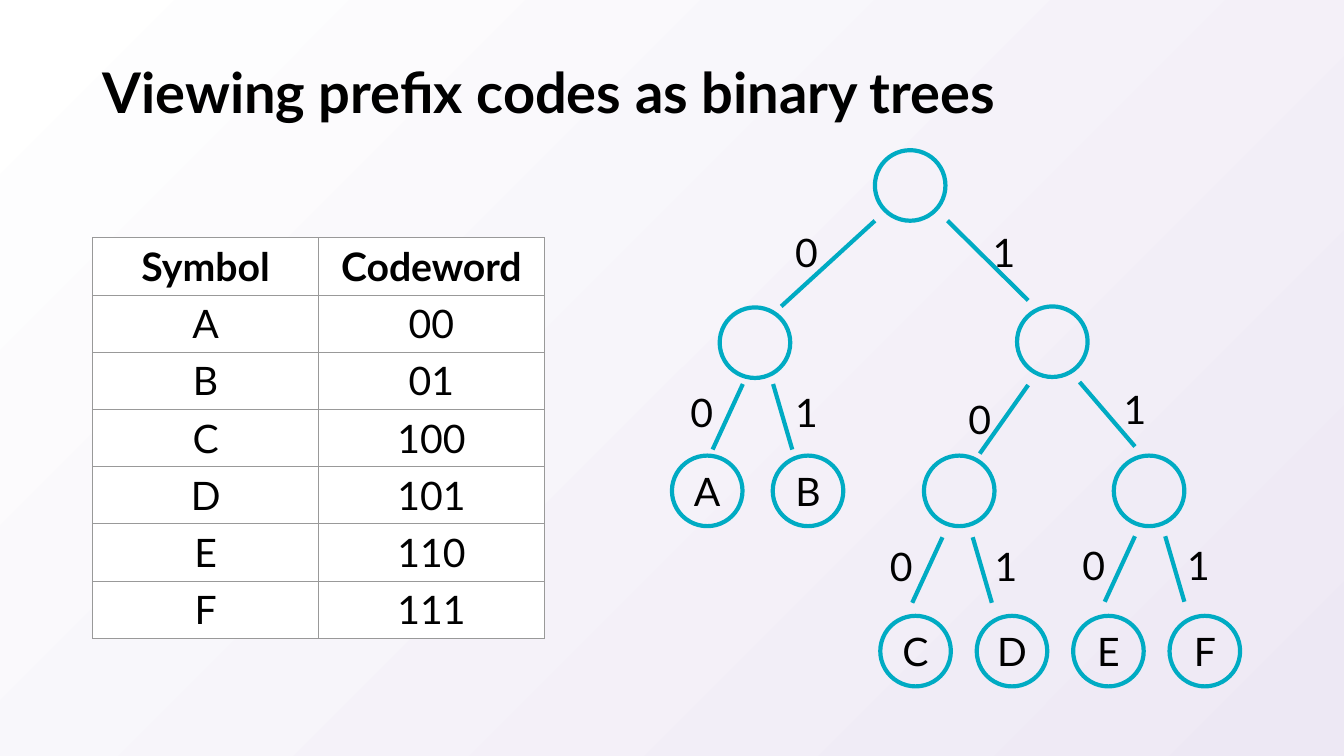
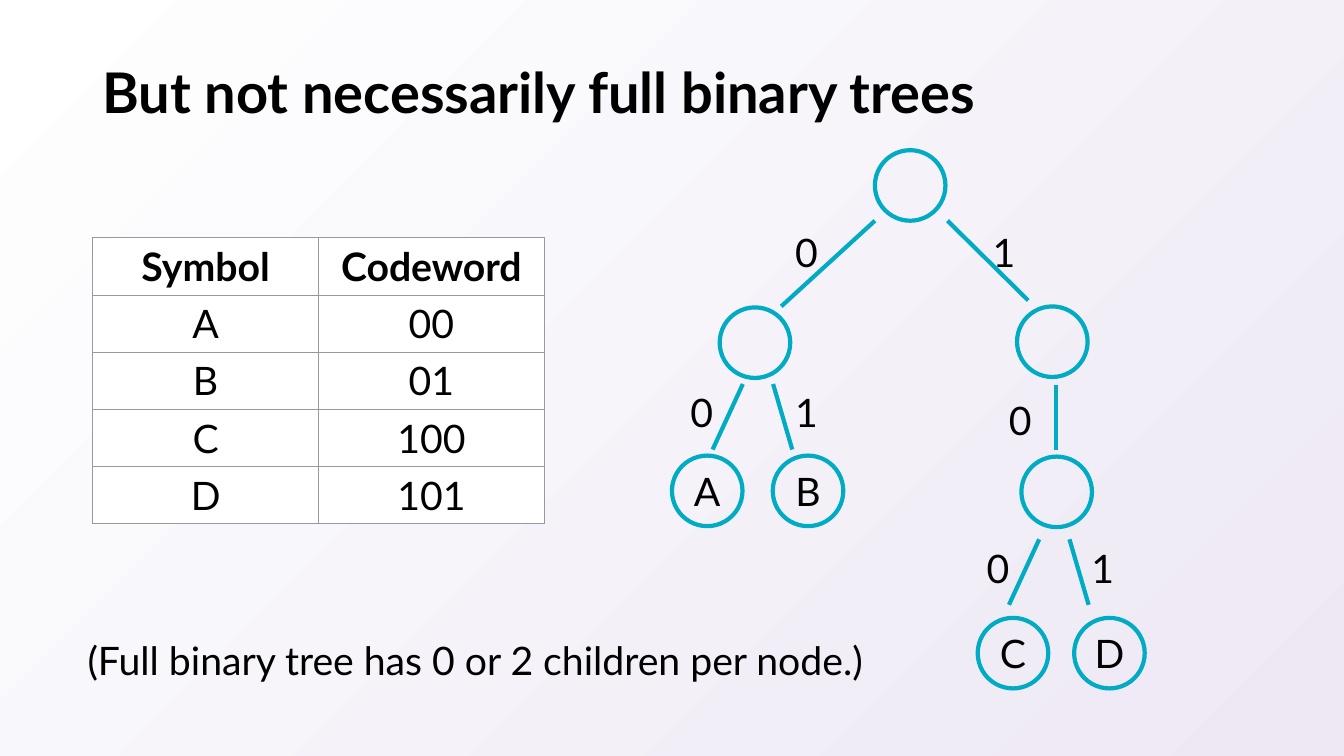
"""Build two slides that show prefix codes as binary trees."""
from pptx import Presentation, util as u
from pptx.dml.color import RGBColor
from pptx.enum import shapes, text
from pptx.oxml import parse_xml
from pptx.oxml.ns import nsdecls

HUES = {"ink": "000000", "paper": "FFFFFF", "tint": "EDE8F4", "line": "00ABC3", "rule": "999999"}
COLS, ROWS = 40, 22.5
FONT = "Lato"
SIZE = 2.1
STEP = 2.87

deck = Presentation()
deck.slide_width = u.Inches(40 / 3)
deck.slide_height = u.Inches(7.5)


def grid(*cells):
    """Turn columns and rows, in turn, into lengths."""
    units = (deck.slide_width / COLS, deck.slide_height / ROWS)
    return [u.Emu(round(n * units[i % 2])) for i, n in enumerate(cells)]


def write(frame, words, size=28, bold=False, align=None, space=None):
    """Put one styled paragraph in a text frame."""
    para = frame.paragraphs[0]
    para.text = words
    para.alignment = align
    para.line_spacing = space
    font = para.font
    font.name, font.size, font.bold = FONT, u.Pt(size), bold
    font.color.rgb = RGBColor.from_string(HUES["ink"])


fill = deck.slide_master.background.fill
fill.gradient()
fill.gradient_angle = 315
for stop, hue in zip(fill.gradient_stops, ("paper", "tint")):
    stop.color.rgb = RGBColor.from_string(HUES[hue])

codes = {"A": "00", "B": "01", "C": "100", "D": "101", "E": "110", "F": "111"}
nodes = {"": (26.04, 4.47), "0": (21.42, 9.15), "1": (30.27, 9.12),
         "00": (20, 13.56), "01": (23, 13.56)}
edges = {"0": (23.25, 9.12, 26.04, 6.57), "1": (30.6, 8.94, 28.2, 6.57)}
tags = {"0": (23.37, 6.3), "1": (29.25, 6.3)}
forks = [(22.11, 11.43)]

pages = [
    {
        "title": "Viewing prefix codes as binary trees",
        "leaves": "ABCDEF",
        "nodes": {"10": (27.5, 13.56), "11": (33.15, 13.56)},
        "start": (26.2, 18.33),
        "edges": {"10": (29.16, 13.5, 30.6, 11.46), "11": (33.78, 13.29, 32.13, 11.37)},
        "tags": {"10": (28.53, 11.28), "11": (33.15, 10.98)},
        "forks": [(28.05, 15.99), (33.78, 15.96)],
        "note": "",
    },
    {
        "title": "But not necessarily full binary trees",
        "leaves": "ABCD",
        "nodes": {"10": (30.4, 13.59)},
        "start": (29.1, 18.39),
        "edges": {"10": (31.44, 13.38, 31.44, 11.46)},
        "tags": {"10": (29.73, 11.31)},
        "forks": [(30.93, 16.05)],
        "note": "(Full binary tree has 0 or 2 children per node.)",
    },
]

for page in pages:
    slide = deck.slides.add_slide(deck.slide_layouts[6])
    items = slide.shapes

    frame = items.add_textbox(*grid(2.76, 1.2, 34.5, 3.27)).text_frame
    frame.word_wrap = True
    frame.vertical_anchor = text.MSO_ANCHOR.MIDDLE
    write(frame, page["title"], 40, True, space=0.9)

    pairs = [("Symbol", "Codeword")] + [(leaf, codes[leaf]) for leaf in page["leaves"]]
    table = items.add_table(len(pairs), 2, *grid(2.76, 7.08, 13.44, 1.68 * len(pairs))).table
    table.first_row = table.horz_banding = False
    for r, pair in enumerate(pairs):
        for c, words in enumerate(pair):
            cell = table.cell(r, c)
            cell.vertical_anchor = text.MSO_ANCHOR.MIDDLE
            write(cell.text_frame, words, bold=r == 0, align=text.PP_ALIGN.CENTER)
            props = cell._tc.get_or_add_tcPr()
            for side in "LRTB":
                props.append(parse_xml(
                    f'<a:ln{side} {nsdecls("a")} w="{u.Pt(0.75)}"><a:solidFill>'
                    f'<a:srgbClr val="{HUES["rule"]}"/></a:solidFill></a:ln{side}>'))
            cell.fill.solid()
            cell.fill.fore_color.rgb = RGBColor.from_string(HUES["paper"])

    names = {codes[leaf]: leaf for leaf in page["leaves"]}
    spots = nodes | page["nodes"]
    left, top = page["start"]
    for i, leaf in enumerate(page["leaves"][2:]):
        spots[codes[leaf]] = (left + i * STEP, top)
    for code, spot in spots.items():
        node = items.add_shape(shapes.MSO_SHAPE.OVAL, *grid(*spot, SIZE, SIZE))
        node.shadow.inherit = False
        node.fill.background()
        node.line.color.rgb = RGBColor.from_string(HUES["line"])
        node.line.width = u.Pt(3)
        if code in names:
            node.text_frame.vertical_anchor = text.MSO_ANCHOR.MIDDLE
            write(node.text_frame, names[code], align=text.PP_ALIGN.CENTER)

    lines = list((edges | page["edges"]).values())
    notes = [(code[-1], *spot, 1.29) for code, spot in (tags | page["tags"]).items()]
    for x, y in forks + page["forks"]:
        lines += [(x - 0.9, y + 1.95, x, y), (x + 1.47, y + 1.95, x + 0.9, y)]
        notes += [("0", x - 1.86, y - 0.36, 1.29), ("1", x + 1.26, y - 0.36, 1.29)]
    if page["note"]:
        notes.append((page["note"], 2.31, 18.45, 23.73))

    for ends in lines:
        edge = items.add_connector(shapes.MSO_CONNECTOR.STRAIGHT, *grid(*ends))
        edge.line.color.rgb = RGBColor.from_string(HUES["line"])
        edge.line.width = u.Pt(3)
        edge._element.spPr.append(parse_xml(f'<a:effectLst {nsdecls("a")}/>'))

    for words, x, y, wide in notes:
        frame = items.add_textbox(*grid(x, y, wide, 1.89)).text_frame
        frame.word_wrap = False
        frame.auto_size = text.MSO_AUTO_SIZE.SHAPE_TO_FIT_TEXT
        write(frame, words, space=1.25)

deck.save("out.pptx")
